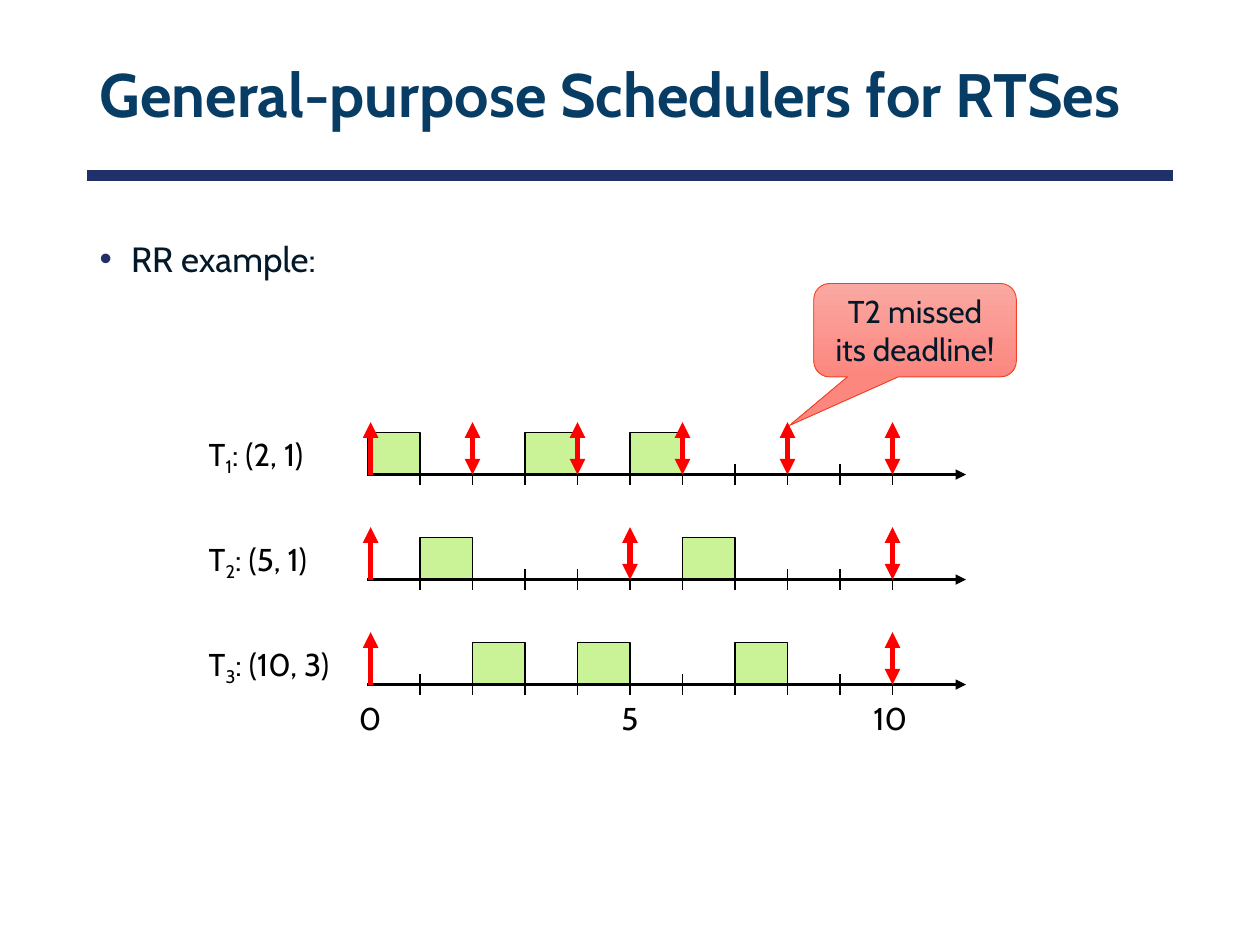
from dataclasses import dataclass
from typing import Optional

from lxml.etree import SubElement
from pptx import Presentation
from pptx.dml.color import RGBColor
from pptx.enum.shapes import MSO_CONNECTOR as Connector, MSO_SHAPE as Shape
from pptx.enum.text import MSO_ANCHOR as Anchor, MSO_AUTO_SIZE as AutoSize, PP_ALIGN as Align
from pptx.oxml.ns import qn
from pptx.util import Emu, Pt


@dataclass(frozen=True)
class Theme:
    font: str = "Cabin"
    title: str = "073C65"
    rule: str = "21306A"
    text: str = "031828"
    ink: str = "000000"
    block: str = "CAF297"
    release: str = "FF0000"
    callout_top: str = "FAA8A2"
    callout_bottom: str = "FB877F"
    callout_line: str = "F14124"
    title_size: int = 35
    body_size: int = 20
    label_size: int = 18


@dataclass(frozen=True)
class Box:
    left: int
    top: int
    width: int
    height: int


@dataclass(frozen=True)
class Task:
    number: int
    period: int
    cost: int
    starts: tuple[int, ...]


THEME = Theme()
EMU_PER_PX = 7620
ORIGIN, UNIT, HORIZON = 350, 50, 10
FIRST_AXIS, AXIS_GAP, AXIS_END = 452, 100, 920
BLOCK_HEIGHT, ARROW_HEIGHT, TICK_REACH = 40, 50, 10
LABEL_HEIGHT = 48
TASKS = (
    Task(1, 2, 1, (0, 3, 5)),
    Task(2, 5, 1, (1, 6)),
    Task(3, 10, 3, (2, 4, 7)),
)


def px(length: int) -> Emu:
    return Emu(length * EMU_PER_PX)


def color(value: str) -> RGBColor:
    return RGBColor.from_string(value)


def bounds(box: Box) -> tuple[Emu, ...]:
    return px(box.left), px(box.top), px(box.width), px(box.height)


def time_x(time: int) -> int:
    return ORIGIN + time * UNIT


def add_run(paragraph, text: str, size: int, ink: str, bold: bool = False,
            baseline: Optional[int] = None) -> None:
    run = paragraph.add_run()
    run.text = text
    run.font.name = THEME.font
    run.font.size = Pt(size)
    run.font.bold = bold
    run.font.color.rgb = color(ink)
    if baseline is not None:
        run.font._element.set("baseline", str(baseline))


def add_text_box(slide, box: Box, wrap: bool = True):
    shape = slide.shapes.add_textbox(*bounds(box))
    shape.text_frame.word_wrap = wrap
    return shape.text_frame.paragraphs[0]


def add_line(slide, start: tuple[int, int], end: tuple[int, int], ink: str,
             width: float, arrows: tuple[str, ...] = ()) -> None:
    line = slide.shapes.add_connector(
        Connector.STRAIGHT, px(start[0]), px(start[1]), px(end[0]), px(end[1]))
    line.line.color.rgb = color(ink)
    line.line.width = Pt(width)
    outline = line.line._get_or_add_ln()
    for arrow in arrows:
        SubElement(outline, qn(f"a:{arrow}"), type="triangle")
    SubElement(line._element.spPr, qn("a:effectLst"))


def add_title(slide) -> None:
    title = slide.shapes.title
    title.left, title.top, title.width, title.height = bounds(Box(83, 28, 1034, 130))
    frame = title.text_frame
    frame.word_wrap = True
    frame.auto_size = AutoSize.NONE
    frame.vertical_anchor = Anchor.MIDDLE
    paragraph = frame.paragraphs[0]
    paragraph.alignment = Align.LEFT
    paragraph.line_spacing = 0.9
    add_run(paragraph, "General-purpose Schedulers for RTSes",
            THEME.title_size, THEME.title, bold=True)
    add_line(slide, (83, 167), (1117, 167), THEME.rule, 6)


def add_body(slide) -> None:
    paragraph = add_text_box(slide, Box(83, 220, 1034, 652))
    paragraph.space_before = Pt(10)
    add_run(paragraph, "RR example:", THEME.body_size, THEME.text)
    properties = paragraph._p.get_or_add_pPr()
    properties.set("marL", str(px(30)))
    properties.set("indent", str(px(-30)))
    bullet_color = SubElement(properties, qn("a:buClr"))
    SubElement(bullet_color, qn("a:srgbClr"), val=THEME.rule)
    SubElement(properties, qn("a:buFont"), typeface="Arial")
    SubElement(properties, qn("a:buChar"), char="•")


def add_block(slide, time: int, axis: int) -> None:
    box = Box(time_x(time), axis - BLOCK_HEIGHT, UNIT, BLOCK_HEIGHT)
    block = slide.shapes.add_shape(Shape.RECTANGLE, *bounds(box))
    block.shadow.inherit = False
    block.fill.solid()
    block.fill.fore_color.rgb = color(THEME.block)
    block.line.color.rgb = color(THEME.ink)
    block.line.width = Pt(0.75)


def add_timeline(slide, task: Task, axis: int) -> None:
    for start in task.starts:
        add_block(slide, start, axis)
    for time in range(1, HORIZON + 1):
        x = time_x(time)
        add_line(slide, (x, axis - TICK_REACH), (x, axis + TICK_REACH), THEME.ink, 0.75)
    add_line(slide, (ORIGIN, axis), (AXIS_END, axis), THEME.ink, 1.5, ("tailEnd",))

    label = add_text_box(slide, Box(187, axis - 44, 140, LABEL_HEIGHT), wrap=False)
    add_run(label, "T", THEME.label_size, THEME.ink)
    add_run(label, str(task.number), THEME.label_size, THEME.ink, baseline=-25000)
    add_run(label, f": ({task.period}, {task.cost})", THEME.label_size, THEME.ink)

    for time in range(0, HORIZON + 1, task.period):
        x = time_x(time) if time else ORIGIN + 3
        arrows = ("headEnd", "tailEnd") if time else ("tailEnd",)
        add_line(slide, (x, axis), (x, axis - ARROW_HEIGHT), THEME.release, 3, arrows)


def add_time_label(slide, time: int) -> None:
    text = str(time)
    left = time_x(time) - 10 - 10 * len(text)
    paragraph = add_text_box(slide, Box(left, 660, 80, LABEL_HEIGHT))
    add_run(paragraph, text, THEME.label_size, THEME.ink)


def add_callout(slide) -> None:
    callout = slide.shapes.add_shape(
        Shape.ROUNDED_RECTANGULAR_CALLOUT, *bounds(Box(775, 270, 193, 89)))
    callout.shadow.inherit = False
    for index, value in enumerate((-0.622, 1.017, 0.167)):
        callout.adjustments[index] = round(value, 2)
    callout.fill.gradient()
    callout.fill.gradient_angle = 270
    stops = callout.fill.gradient_stops
    for stop, value in zip(stops, (THEME.callout_top, THEME.callout_bottom)):
        stop.color.rgb = color(value)
    callout.line.color.rgb = color(THEME.callout_line)
    callout.line.width = Pt(0.5)
    frame = callout.text_frame
    frame.word_wrap = True
    frame.vertical_anchor = Anchor.MIDDLE
    paragraph = frame.paragraphs[0]
    paragraph.alignment = Align.CENTER
    add_run(paragraph, "T2 missed its deadline!", THEME.label_size, THEME.text)


def main() -> None:
    presentation = Presentation()
    presentation.slide_width, presentation.slide_height = px(1200), px(900)
    slide = presentation.slides.add_slide(presentation.slide_layouts[5])
    add_title(slide)
    add_body(slide)
    for row, task in enumerate(TASKS):
        add_timeline(slide, task, FIRST_AXIS + row * AXIS_GAP)
    for time in range(0, HORIZON + 1, 5):
        add_time_label(slide, time)
    add_callout(slide)
    presentation.save("out.pptx")


if __name__ == "__main__":
    main()
